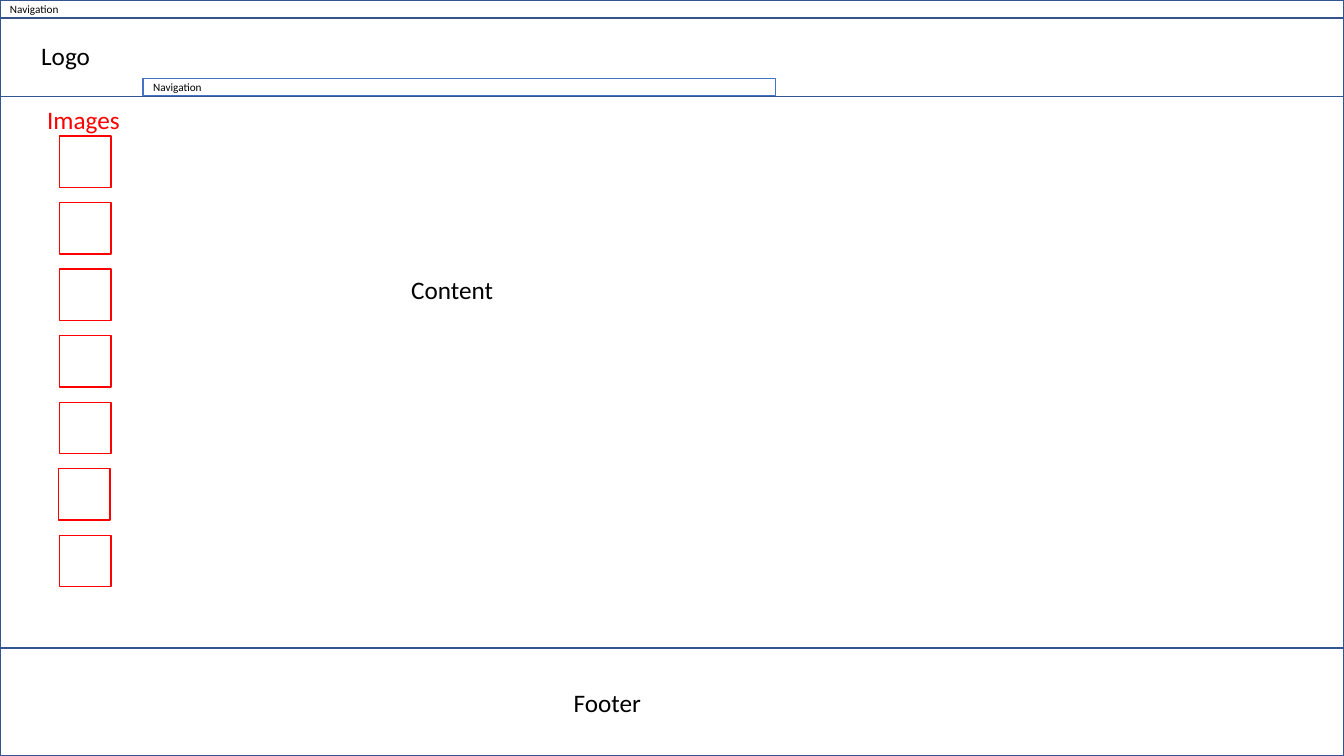
"""Build a web page wireframe slide with header, images, content and footer."""
from pptx import Presentation
from pptx import util as u
from pptx.dml import color
from pptx.enum import shapes, text

HUES = {"frame": "325491", "menu": "4472C4", "image": "FF0000",
        "paper": "FFFFFF", "ink": "000000"}
WIDE, HIGH = 13.33, 7.5

deck = Presentation()
deck.slide_width, deck.slide_height = u.Inches(WIDE), u.Inches(HIGH)
slide = deck.slides.add_slide(deck.slide_layouts[6])


def add_box(left, top, width, height, line, fill=None):
    box = slide.shapes.add_shape(
        shapes.MSO_SHAPE.RECTANGLE, *map(u.Inches, (left, top, width, height)))
    box.shadow.inherit = False
    if fill:
        box.fill.solid()
        box.fill.fore_color.rgb = color.RGBColor.from_string(HUES[fill])
    else:
        box.fill.background()
    box.line.color.rgb = color.RGBColor.from_string(HUES[line])
    box.line.width = u.Pt(1)


def add_label(words, left, top, width, height, size, hue="ink", wrap=True):
    label = slide.shapes.add_textbox(*map(u.Inches, (left, top, width, height)))
    frame = label.text_frame
    frame.text = words
    frame.word_wrap = wrap
    frame.auto_size = text.MSO_AUTO_SIZE.SHAPE_TO_FIT_TEXT
    font = frame.paragraphs[0].runs[0].font
    font.name, font.size = "Calibri", u.Pt(size)
    font.color.rgb = color.RGBColor.from_string(HUES[hue])


head, foot = 0.96, 6.43
add_box(0, 0, WIDE, head, "frame")
add_box(0, 0, WIDE, 0.18, "frame")
add_box(1.42, 0.78, 6.27, 0.17, "menu")
add_box(0, head, WIDE, foot - head, "frame")
add_box(0, foot, WIDE, HIGH - foot, "frame")

add_label("Logo", 0.31, 0.35, 2.21, 0.4, 18)
for left, top in ((1.42, 0.75), (0, -0.03)):
    add_label("Navigation", left, top, 1.69, 0.24, 8)

for row in range(7):
    left = 0.58 if row == 5 else 0.59
    add_box(left, 1.35 + 0.66 * row, 0.51, 0.51, "image", "paper")

add_label("Images", 0.37, 0.99, 0.93, 0.4, 18, "image", False)
add_label("Content", 3.98, 2.67, 4.36, 0.4, 18)
add_label("Footer", 5.59, 6.77, 0.88, 0.4, 18, wrap=False)

deck.save("out.pptx")
